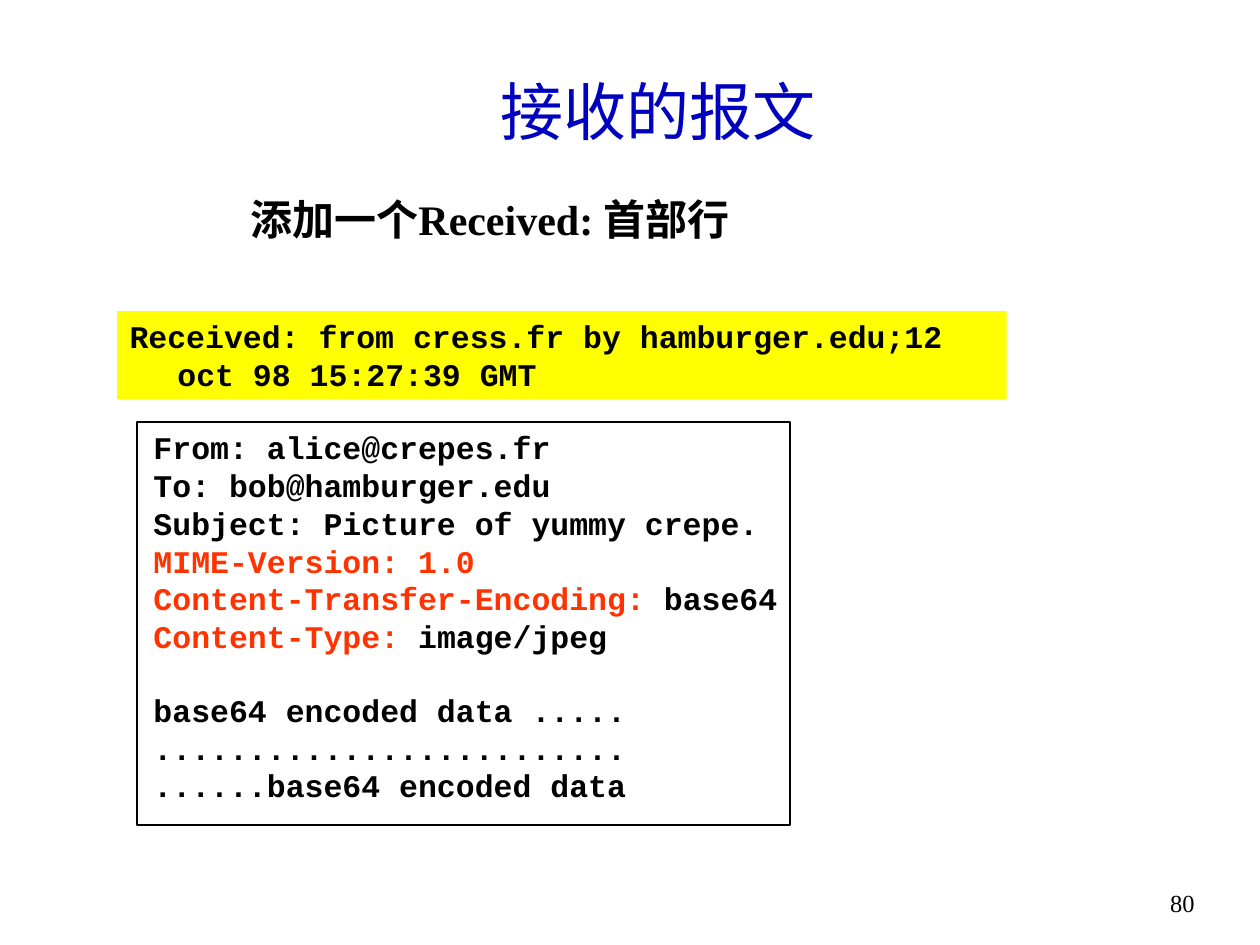
from dataclasses import dataclass

from pptx import Presentation
from pptx.dml.color import RGBColor
from pptx.enum import shapes, text
from pptx.util import Inches, Pt


@dataclass(frozen=True)
class Theme:
    black: str = "000000"
    title: str = "0000BF"
    mime: str = "FF3300"
    highlight: str = "FFFF00"
    serif: str = "Times New Roman"
    mono: str = "Courier New"
    title_size: int = 36
    heading_size: int = 24
    code_size: int = 18
    number_size: int = 14


@dataclass(frozen=True)
class Box:
    left: float
    top: float
    width: float
    height: float

    def lengths(self):
        return [Inches(v) for v in (self.left, self.top, self.width, self.height)]


@dataclass(frozen=True)
class Line:
    """A message line: a MIME field name in its own colour, then plain text."""
    plain: str
    field: str = ""
    before: float = 0


THEME = Theme()
MESSAGE = [
    Line("From: alice@crepes.fr"),
    Line("To: bob@hamburger.edu"),
    Line("Subject: Picture of yummy crepe."),
    Line("", "MIME-Version: 1.0"),
    Line(" base64", "Content-Transfer-Encoding:"),
    Line(" image/jpeg", "Content-Type:"),
    Line("base64 encoded data .....", before=20.4),
    Line("........................."),
    Line("......base64 encoded data"),
]


def add_run(p, content: str, *, size: int, font: str = THEME.serif,
            color: str = THEME.black, bold: bool = False) -> None:
    r = p.add_run()
    r.text = content
    r.font.size = Pt(size)
    r.font.name = font
    r.font.bold = bold
    r.font.color.rgb = RGBColor.from_string(color)


def add_rect(parent, box: Box, *, fill: str = "", line: str = ""):
    sp = parent.add_shape(shapes.MSO_SHAPE.RECTANGLE, *box.lengths())
    sp.shadow.inherit = False
    if fill:
        sp.fill.solid()
        sp.fill.fore_color.rgb = RGBColor.from_string(fill)
    else:
        sp.fill.background()
    if line:
        sp.line.color.rgb = RGBColor.from_string(line)
        sp.line.width = Pt(1)
    else:
        sp.line.fill.background()
    return sp


def prepare_text(sp, *, align=text.PP_ALIGN.LEFT, anchor=text.MSO_ANCHOR.TOP,
                 hanging: float = 0):
    """Set up the frame of a shape and return its first paragraph."""
    tf = sp.text_frame
    tf.word_wrap = True
    tf.vertical_anchor = anchor
    p = tf.paragraphs[0]
    p.alignment = align
    if hanging:
        pPr = p._p.get_or_add_pPr()
        pPr.set("marL", str(Inches(hanging)))
        pPr.set("indent", str(-Inches(hanging)))
    return p


def add_message(parent, lines: list[Line], box: Box) -> None:
    sp = parent.add_textbox(*box.lengths())
    p = prepare_text(sp)
    code = dict(size=THEME.code_size, font=THEME.mono, bold=True)
    for i, line in enumerate(lines):
        if i:
            p = sp.text_frame.add_paragraph()
        if line.before:
            p.space_before = Pt(line.before)
        if line.field:
            add_run(p, line.field, color=THEME.mime, **code)
        if line.plain:
            add_run(p, line.plain, **code)


def main() -> None:
    prs = Presentation()
    prs.slide_width, prs.slide_height = Inches(10), Inches(7.5)
    s = prs.slides.add_slide(prs.slide_layouts[6])

    number = s.shapes.add_textbox(*Box(9.08, 7, 0.5, 0.5).lengths())
    add_run(prepare_text(number, align=text.PP_ALIGN.RIGHT), "80",
            size=THEME.number_size)

    title = s.shapes.add_textbox(*Box(0.64, 0.25, 9.17, 1.25).lengths())
    p = prepare_text(title, align=text.PP_ALIGN.CENTER,
                     anchor=text.MSO_ANCHOR.MIDDLE)
    add_run(p, "接收的报文", size=THEME.title_size, color=THEME.title)

    message = s.shapes.add_group_shape()
    add_message(message.shapes, MESSAGE, Box(1.12, 3.35, 5.44, 3.4))
    add_rect(message.shapes, Box(1.09, 3.35, 5.18, 3.2), line=THEME.black)

    received = add_rect(s.shapes, Box(0.93, 2.47, 7.06, 0.7), fill=THEME.highlight)
    add_run(prepare_text(received, hanging=0.38),
            "Received: from cress.fr by hamburger.edu;12 oct 98 15:27:39 GMT",
            size=THEME.code_size, font=THEME.mono, bold=True)

    heading = s.shapes.add_textbox(*Box(1.19, 1.49, 5.4, 0.5).lengths())
    p = prepare_text(heading, align=text.PP_ALIGN.CENTER, hanging=0.38)
    add_run(p, "添加一个Received: 首部行", size=THEME.heading_size, bold=True)

    prs.save("out.pptx")


if __name__ == "__main__":
    main()
